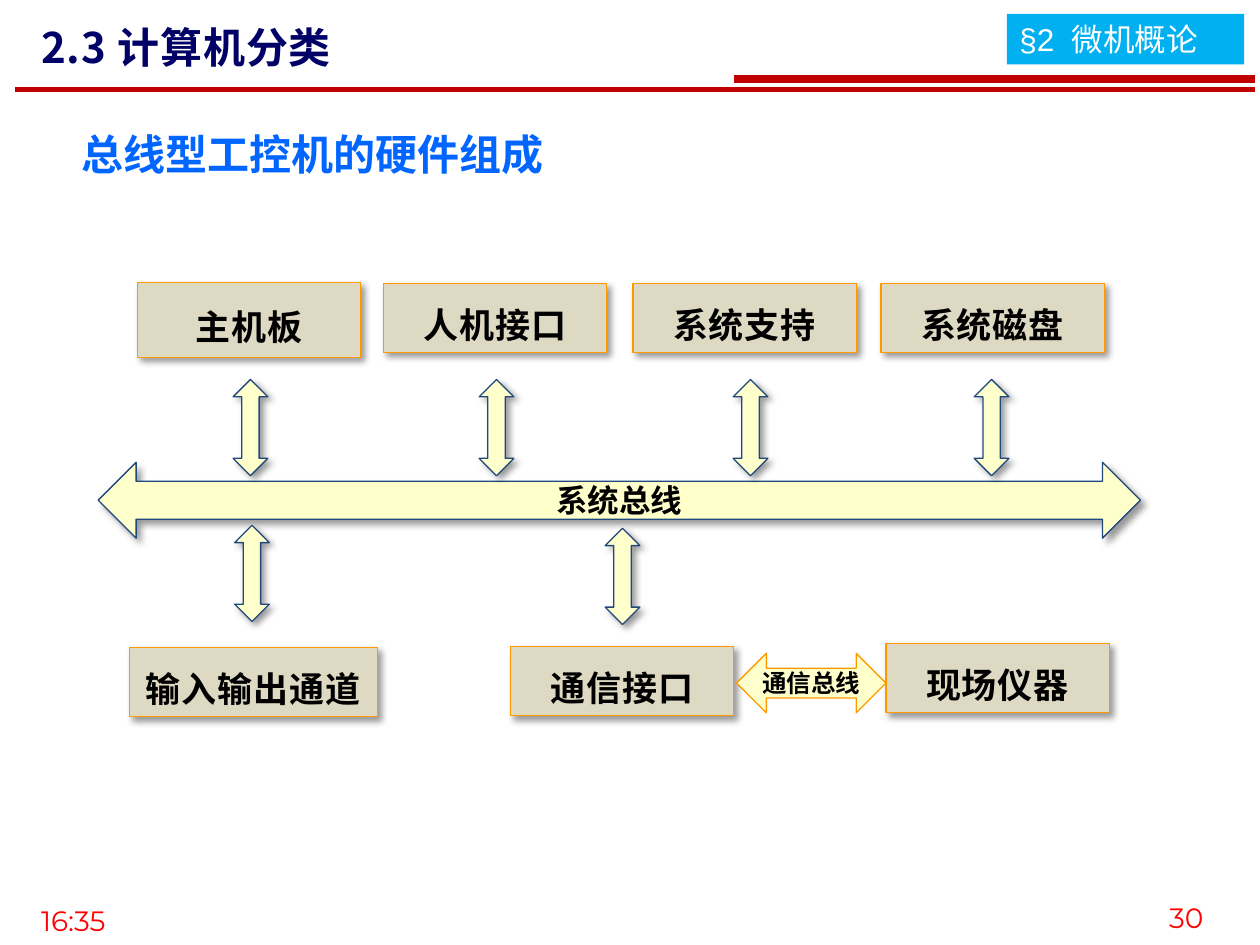
from lxml import etree
from pptx import Presentation, util as u
from pptx.dml.color import RGBColor
from pptx.enum import shapes, text
from pptx.oxml.ns import qn

WHITE = RGBColor(0xFF, 0xFF, 0xFF)
BLACK = RGBColor(0, 0, 0)
RED = RGBColor(0xFF, 0, 0)
CRIMSON = RGBColor(0xC0, 0, 0)
CYAN = RGBColor(0, 0xB0, 0xF0)
BLUE = RGBColor(0, 0x66, 0xFF)
NAVY = RGBColor(0, 0, 0x66)
STEEL = RGBColor(0x1F, 0x49, 0x7D)
ORANGE = RGBColor(0xFF, 0x99, 0)
SAND = RGBColor(0xDD, 0xD9, 0xC3)
CREAM = RGBColor(0xFF, 0xFF, 0xCC)
CJK = "Noto Sans CJK SC"
KIND = shapes.MSO_SHAPE
ALIGN = text.PP_ALIGN

prs = Presentation()
prs.slide_width, prs.slide_height = u.Cm(25.4), u.Cm(19.05)
slide = prs.slides.add_slide(prs.slide_layouts[6])


def write(shape, words, size, color, face=CJK, bold=True,
          align=ALIGN.CENTER, pad=(0.25, 0.13), lead=None, gap=0):
    """Put one centred-height line of text in a shape; gap is tracking in 1/100 pt."""
    frame = shape.text_frame
    side, edge = (u.Cm(p) for p in pad)
    form = {"margin_left": side, "margin_right": side, "margin_top": edge,
            "margin_bottom": edge, "word_wrap": True,
            "vertical_anchor": text.MSO_ANCHOR.MIDDLE}
    for key, val in form.items():
        setattr(frame, key, val)
    para = frame.paragraphs[0]
    para.alignment, para.line_spacing = align, lead
    run = para.add_run()
    run.text = words
    for key, val in {"name": face, "size": u.Pt(size), "bold": bold}.items():
        setattr(run.font, key, val)
    run.font.color.rgb = color
    props = run.font._element
    etree.SubElement(props, qn("a:ea"), typeface=CJK)
    if gap:
        props.set("spc", str(gap))


def draw(kind, box, fill, line=None, shade=True):
    """Add a filled shape at box (left, top, width, height in cm)."""
    shape = slide.shapes.add_shape(kind, *map(u.Cm, box))
    shape.shadow.inherit = False
    shape.fill.solid()
    shape.fill.fore_color.rgb = fill
    if line is None:
        shape.line.fill.background()
    else:
        shape.line.color.rgb = line
        shape.line.width = u.Pt(0.75)
    if shade:
        effects = shape._element.spPr.find(qn("a:effectLst"))
        cast = etree.SubElement(
            effects, qn("a:outerShdw"), blurRad=str(u.Pt(4)), dist=str(u.Pt(3)),
            dir="2700000", algn="tl", rotWithShape="0")
        tint = etree.SubElement(cast, qn("a:srgbClr"), val=str(BLACK))
        etree.SubElement(tint, qn("a:alpha"), val="40000")
    return shape


# Header rules and section tag
for left, top, width in ((0.3, 1.8, 3), (14.8, 1.6, 4.5)):
    rule = slide.shapes.add_connector(
        shapes.MSO_CONNECTOR.STRAIGHT, *map(u.Cm, (left, top, 25.3, top)))
    rule.line.color.rgb = CRIMSON
    rule.line.width = u.Pt(width)
    etree.SubElement(rule._element.spPr, qn("a:effectLst"))

tag = draw(KIND.RECTANGLE, (20.3, 0.28, 4.78, 1.02), CYAN, shade=False)
write(tag, "§2  微机概论", 18, WHITE, "Arial", False, ALIGN.LEFT)

# Titles and footer
plain = {"face": "Montserrat", "bold": False}
for box, words, size, color, form in (
        ((0.58, 0.3, 16.28, 1.27), "2.3 计算机分类", 24, NAVY, {"gap": 50}),
        ((1.4, 2.46, 11.76, 1.27), "总线型工控机的硬件组成", 24, BLUE, {}),
        ((0.58, 18.06, 2.6, 0.99), "16:35", 16, RED, plain),
        ((22.63, 17.93, 1.88, 1.12), "30", 16, RED,
         {**plain, "align": ALIGN.RIGHT})):
    label = slide.shapes.add_textbox(*map(u.Cm, box))
    write(label, words, size, color, **{"align": ALIGN.LEFT, **form})

# Modules above and below the system bus
WIDE, HIGH = 4.5, 1.4
for words, left, top, width, height in (
        ("主机板", 2.77, 5.69, WIDE, 1.52),
        ("人机接口", 7.73, 5.71, WIDE, HIGH),
        ("系统支持", 12.76, 5.71, WIDE, HIGH),
        ("系统磁盘", 17.76, 5.71, WIDE, HIGH),
        ("输入输出通道", 2.61, 13.05, 5, HIGH),
        ("通信接口", 10.29, 13.03, WIDE, HIGH),
        ("现场仪器", 17.86, 12.97, WIDE, HIGH)):
    unit = draw(KIND.FLOWCHART_PROCESS, (left, top, width, height), SAND, ORANGE)
    write(unit, words, 20, BLACK, pad=(0.25, 0.2), lead=1.3, gap=50)

# Buses
link = draw(KIND.LEFT_RIGHT_ARROW, (14.85, 13.17, 3.01, 1.2), CREAM, ORANGE, False)
write(link, "通信总线", 14, BLACK, pad=(0, 0))
bus = draw(KIND.LEFT_RIGHT_ARROW, (1.98, 9.32, 21.01, 1.53), CREAM, STEEL)
write(bus, "系统总线", 18, BLACK, pad=(0.25, 0))

# Arrows between the modules and the bus
for left, top in ((4.7, 7.65), (9.66, 7.65), (14.78, 7.65), (19.64, 7.65),
                  (4.73, 10.59), (12.2, 10.65)):
    draw(KIND.UP_DOWN_ARROW, (left, top, 0.7, 1.94), CREAM, STEEL)

prs.save("out.pptx")
